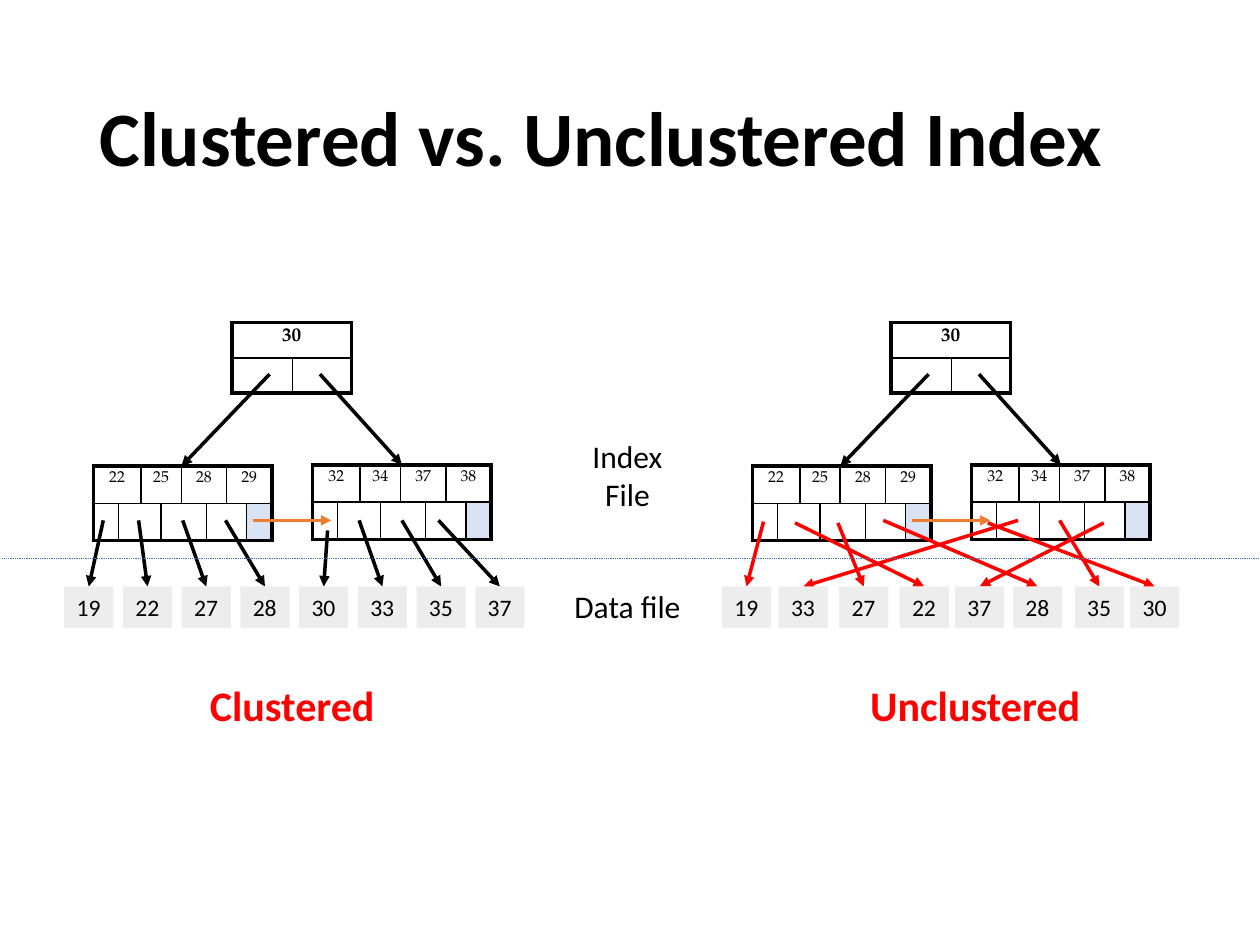
"""Builds a slide comparing a clustered with an unclustered index."""
from lxml import etree
from pptx import Presentation
from pptx.dml.color import RGBColor
from pptx.enum.dml import MSO_LINE
from pptx.enum.shapes import MSO_CONNECTOR, MSO_SHAPE
from pptx.enum.text import MSO_ANCHOR, MSO_AUTO_SIZE, PP_ALIGN
from pptx.oxml.ns import qn
from pptx.util import Inches, Pt

STRAIGHT, RECTANGLE = MSO_CONNECTOR.STRAIGHT, MSO_SHAPE.RECTANGLE
TOP, MIDDLE = MSO_ANCHOR.TOP, MSO_ANCHOR.MIDDLE
LEFT, CENTER = PP_ALIGN.LEFT, PP_ALIGN.CENTER
GROW, FIXED = MSO_AUTO_SIZE.SHAPE_TO_FIT_TEXT, MSO_AUTO_SIZE.NONE
DOTTED = MSO_LINE.ROUND_DOT

COLORS = {"ink": "000000", "accent": "FF0000", "sibling": "ED7D31",
          "divider": "4472C4", "record": "EDEDED", "link": "DAE3F3"}
SANS, SERIF = "Calibri", "TeX Gyre Pagella"

COLUMNS, ROWS = 100, 75
GRID = Inches(10) // COLUMNS
RECORD_WIDTH, RECORD_HEIGHT, RECORD_TOP = 3.9, 3.3, 46.55
TREE_OFFSET = 52.3

ROOT = {"left": 18.4, "top": 25.6, "widths": [4.8, 4.7], "height": 2.8,
        "rows": [[("30", 2)], [("", 1), ("", 1)]], "size": 11, "bold": True}
LEAF_WIDTHS = [2, 1.6, 1.6, 1.6, 2, 1.6, 1.6, 2]
LEAF_POINTERS = [("", 1), ("", 2), ("", 2), ("", 2), ("", 1)]
LEAVES = [(7.4, 37, ["22", "25", "28", "29"]),
          (24.8, 36.9, ["32", "34", "37", "38"])]
TREE_ARROWS = [((21.4, 29.7), (14.4, 37)), ((25.4, 29.7), (31.9, 36.9))]
SIBLING_ARROW = (20.1, 41.3), (26.3, 41.3)

RECORDS = ["19", "22", "27", "28", "30", "33", "35", "37"]
INDEXES = [
    {"offset": 0, "color": "ink", "label": "Clustered", "label_box": (15.5, 53.4, 15.4, 5),
     "record_lefts": [5.1 + 4.66 * place for place in range(len(RECORDS))],
     "pointers": [(8.2, 41.3), (11, 41.3), (14.5, 41.3), (17.9, 41.3),
                  (26, 42.1), (28.5, 41.3), (31.9, 41.3), (34.8, 41.3)]},
    {"offset": TREE_OFFSET, "color": "accent", "label": "Unclustered",
     "label_box": (67.2, 53.4, 20.4, 5),
     "record_lefts": [57.3, 71.4, 66.6, 80.4, 89.7, 61.8, 85.3, 75.8],
     "pointers": [(60.6, 41.4), (63.1, 41.5), (66.5, 41.5), (70.1, 41.3),
                  (78.4, 41.5), (80.8, 41.3), (84.1, 41.3), (87.6, 41.5)]},
]
CAPTIONS = [("Index File", (44, 34.2, 11.6, 4)), ("Data file", (44.6, 46.1, 10.4, 4))]


def grid(*values):
    return [round(value * GRID) for value in values]


def color(name):
    return RGBColor.from_string(COLORS[name])


def write(frame, text, size=18, font=SANS, fill="ink", bold=False, align=CENTER,
          anchor=TOP, wrap=False, auto_size=GROW, spacing=None, shadow=False):
    frame.word_wrap = wrap
    frame.auto_size = auto_size
    frame.vertical_anchor = anchor
    paragraph = frame.paragraphs[0]
    paragraph.alignment = align
    if spacing:
        paragraph.line_spacing = spacing
    run = paragraph.add_run()
    run.text = text
    run.font.size, run.font.name, run.font.bold = Pt(size), font, bold
    run.font.color.rgb = color(fill)
    if shadow:
        effects = etree.Element(qn("a:effectLst"))
        outer = etree.SubElement(effects, qn("a:outerShdw"), blurRad="38100",
                                 dist="38100", dir="2700000", algn="tl")
        black = etree.SubElement(outer, qn("a:srgbClr"), val=COLORS["ink"])
        etree.SubElement(black, qn("a:alpha"), val="43000")
        run.font._element.find(qn("a:solidFill")).addnext(effects)


def add_text(slide, text, box, **style):
    write(slide.shapes.add_textbox(*grid(*box)).text_frame, text, **style)


def add_line(slide, start, end, name, width=2, arrow=True):
    connector = slide.shapes.add_connector(STRAIGHT, *grid(*start, *end))
    connector.line.color.rgb = color(name)
    connector.line.width = Pt(width)
    if arrow:
        etree.SubElement(connector.line._get_or_add_ln(), qn("a:tailEnd"), type="triangle")
    else:
        connector.line.dash_style = DOTTED
    etree.SubElement(connector._element.spPr, qn("a:effectLst"))


def set_borders(cell, heavy_sides, sides):
    properties = cell._tc.get_or_add_tcPr()
    for side in sides:
        width = Pt(2.25 if side in heavy_sides else 1)
        border = etree.SubElement(properties, qn(f"a:ln{side}"), w=str(width))
        fill = etree.SubElement(border, qn("a:solidFill"))
        etree.SubElement(fill, qn("a:srgbClr"), val=COLORS["ink"])


def add_node(slide, left, top, widths, height, rows, size, bold=False, linked=False):
    box = grid(left, top, sum(widths), height * len(rows))
    table = slide.shapes.add_table(len(rows), len(widths), *box).table
    table.first_row = table.horz_banding = False
    for column, width in zip(table.columns, grid(*widths)):
        column.width = width
    for row_number, row in enumerate(rows):
        table.rows[row_number].height = grid(height)[0]
        edge = "T" if row_number == 0 else "B"
        start = 0
        for text, span in row:
            end = start + span
            cell = table.cell(row_number, start)
            if span > 1:
                cell.merge(table.cell(row_number, end - 1))
            heavy = edge + "L" * (start == 0) + "R" * (end == len(widths))
            for number in range(start, end):
                part = table.cell(row_number, number)
                part.margin_left = part.margin_right = Inches(0.07)
                part.margin_top = part.margin_bottom = Inches(0.04)
                set_borders(part, heavy, "LRTB" if number == start else "TB")
                part.fill.background()
                if not (text and number == start):
                    etree.SubElement(part.text_frame.paragraphs[0]._p,
                                     qn("a:endParaRPr"), sz=str(size * 100))
            if text:
                paragraph = cell.text_frame.paragraphs[0]
                paragraph.alignment = CENTER
                run = paragraph.add_run()
                run.text = text
                run.font.size, run.font.name, run.font.bold = Pt(size), SERIF, bold
                run.font.color.rgb = color("ink")
            start = end
    if linked:
        cell.fill.solid()
        cell.fill.fore_color.rgb = color("link")


def add_record(slide, text, left):
    box = grid(left, RECORD_TOP, RECORD_WIDTH, RECORD_HEIGHT)
    shape = slide.shapes.add_shape(RECTANGLE, *box)
    shape.shadow.inherit = False
    shape.fill.solid()
    shape.fill.fore_color.rgb = color("record")
    shape.line.fill.background()
    write(shape.text_frame, text, size=13.5, align=LEFT)


def add_index(slide, index):
    offset = index["offset"]
    add_node(slide, **{**ROOT, "left": ROOT["left"] + offset})
    for left, top, keys in LEAVES:
        rows = [[(key, 2) for key in keys], LEAF_POINTERS]
        add_node(slide, left + offset, top, LEAF_WIDTHS, 2.95, rows, 9, linked=True)
    for (x, y), (end_x, end_y) in TREE_ARROWS:
        add_line(slide, (x + offset, y), (end_x + offset, end_y), "ink")
    for text, left, pointer in zip(RECORDS, index["record_lefts"], index["pointers"]):
        add_line(slide, pointer, (left + RECORD_WIDTH / 2, RECORD_TOP), index["color"])
        add_record(slide, text, left)
    (x, y), (end_x, end_y) = SIBLING_ARROW
    add_line(slide, (x + offset, y), (end_x + offset, end_y), "sibling")
    add_text(slide, index["label"], index["label_box"], size=24, fill="accent",
             bold=True, wrap=True, shadow=True)


def main():
    presentation = Presentation()
    presentation.slide_width, presentation.slide_height = COLUMNS * GRID, ROWS * GRID
    slide = presentation.slides.add_slide(presentation.slide_layouts[6])
    add_text(slide, "Clustered vs. Unclustered Index", (6.9, 4, 86.2, 14.5), size=44,
             bold=True, align=LEFT, anchor=MIDDLE, wrap=True, auto_size=FIXED, spacing=0.9)
    for index in INDEXES:
        add_index(slide, index)
    add_line(slide, (0.2, 44.3), (100.2, 44.3), "divider", width=0.5, arrow=False)
    for text, box in CAPTIONS:
        add_text(slide, text, box)
    presentation.save("out.pptx")


if __name__ == "__main__":
    main()
